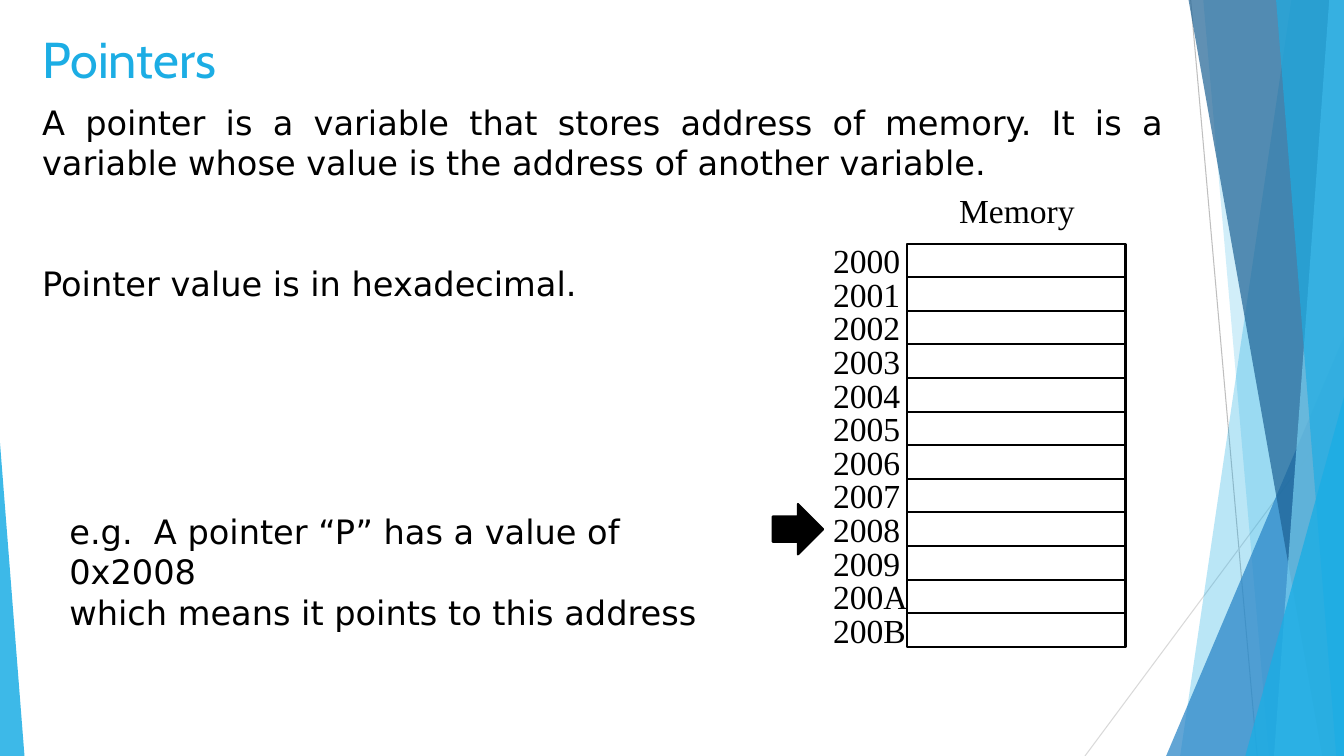
from dataclasses import dataclass

from lxml.etree import SubElement
from pptx import Presentation
from pptx.dml.color import RGBColor
from pptx.enum.shapes import MSO_CONNECTOR, MSO_SHAPE
from pptx.enum.text import MSO_ANCHOR, PP_ALIGN
from pptx.oxml.ns import qn
from pptx.shapes.autoshape import Shape
from pptx.slide import Slide
from pptx.text.text import TextFrame
from pptx.util import Pt

SKY = RGBColor(0x1C, 0xAD, 0xE4)
BLUE = RGBColor(0x26, 0x83, 0xC6)
NAVY = RGBColor(0x1D, 0x62, 0x94)
PALE = RGBColor(0x77, 0xCE, 0xEF)
GREY = RGBColor(0xBF, 0xBF, 0xBF)
LIGHT_GREY = RGBColor(0xD9, 0xD9, 0xD9)
BLACK = RGBColor(0, 0, 0)
WHITE = RGBColor(0xFF, 0xFF, 0xFF)

TITLE_FONT = "Cabin"
BODY_FONT = "DejaVu Sans"
MEMORY_FONT = "Times New Roman"

SLIDE_W, SLIDE_H = 960, 540
ROW_H = 24
ROW_COUNT = 12
FIRST_ADDRESS = 0x2000
CELL_LEFT, CELL_TOP, CELL_W = 648, 174, 156
LABEL_LEFT, LABEL_TOP, LABEL_W, LABEL_H = 588, 168, 77, 32.4


@dataclass(frozen=True)
class Box:
    left: float
    top: float
    width: float
    height: float

    def lengths(self) -> tuple[Pt, Pt, Pt, Pt]:
        return Pt(self.left), Pt(self.top), Pt(self.width), Pt(self.height)


@dataclass(frozen=True)
class Ray:
    x1: float
    y1: float
    x2: float
    y2: float
    color: RGBColor


@dataclass(frozen=True)
class Band:
    top_left: float
    bottom_left: float
    color: RGBColor
    opacity: int


@dataclass(frozen=True)
class Wedge:
    box: Box
    apex: float
    color: RGBColor
    opacity: int


@dataclass(frozen=True)
class Line:
    text: str
    align: PP_ALIGN = PP_ALIGN.LEFT
    space_before: float = 0


RAYS = [
    Ray(850.5, 0, 898, SLIDE_H, GREY),
    Ray(SLIDE_W, 291, 775, SLIDE_H, LIGHT_GREY),
]
FACETS = [
    Band(922.5, 843, SKY, 30),
    Band(859.5, 906.5, SKY, 20),
    Wedge(Box(833, 240.5, 127, 299.5), 1, BLUE, 72),
    Band(849, 944.5, NAVY, 70),
    Band(949.5, 910, PALE, 70),
    Band(911.5, 954.5, SKY, 65),
    Wedge(Box(889.5, 283.5, 70.5, 256.5), 1, SKY, 80),
    Wedge(Box(0, 316.5, 17.5, 223.5), 0, SKY, 85),
]


def add_ray(s: Slide, ray: Ray) -> None:
    line = s.shapes.add_connector(
        MSO_CONNECTOR.STRAIGHT, Pt(ray.x1), Pt(ray.y1), Pt(ray.x2), Pt(ray.y2)
    )
    line.line.color.rgb = ray.color
    line.line.width = Pt(0.75)
    SubElement(line._element.spPr, qn("a:effectLst"))


def add_facet(s: Slide, facet: Band | Wedge) -> None:
    if isinstance(facet, Band):
        builder = s.shapes.build_freeform(Pt(facet.top_left), 0)
        corners = [(SLIDE_W, 0), (SLIDE_W, SLIDE_H), (facet.bottom_left, SLIDE_H)]
        builder.add_line_segments([(Pt(x), Pt(y)) for x, y in corners])
        sp = builder.convert_to_shape()
    else:
        sp = s.shapes.add_shape(MSO_SHAPE.ISOSCELES_TRIANGLE, *facet.box.lengths())
        sp.adjustments[0] = facet.apex
    sp.shadow.inherit = False
    sp.fill.solid()
    sp.fill.fore_color.rgb = facet.color
    sp.line.fill.background()
    color = sp._element.spPr.find(qn("a:solidFill")).find(qn("a:srgbClr"))
    SubElement(color, qn("a:alpha"), val=str(facet.opacity * 1000))


def add_outlined(s: Slide, kind: MSO_SHAPE, box: Box, fill: RGBColor) -> Shape:
    sp = s.shapes.add_shape(kind, *box.lengths())
    sp.shadow.inherit = False
    sp.fill.solid()
    sp.fill.fore_color.rgb = fill
    sp.line.color.rgb = BLACK
    sp.line.width = Pt(1.5)
    return sp


def write(tf: TextFrame, lines: list[Line], font: str, size: float, color: RGBColor) -> None:
    tf.word_wrap = True
    for i, line in enumerate(lines):
        p = tf.add_paragraph() if i else tf.paragraphs[0]
        p.alignment = line.align
        p.space_before = Pt(line.space_before)
        r = p.add_run()
        r.text = line.text
        r.font.name = font
        r.font.size = Pt(size)
        r.font.color.rgb = color


def add_text(s: Slide, box: Box, lines: list[Line], font: str) -> None:
    write(s.shapes.add_textbox(*box.lengths()).text_frame, lines, font, 24, BLACK)


def add_title(s: Slide, text: str) -> None:
    title = s.shapes.title
    title.left, title.top, title.width, title.height = Box(23, 14.4, 612, 54.7).lengths()
    title.text_frame.vertical_anchor = MSO_ANCHOR.MIDDLE
    write(title.text_frame, [Line(text)], TITLE_FONT, 36, SKY)


def add_memory(s: Slide) -> None:
    for row in range(ROW_COUNT):
        cell = Box(CELL_LEFT, CELL_TOP + row * ROW_H, CELL_W, ROW_H)
        add_outlined(s, MSO_SHAPE.RECTANGLE, cell, WHITE)
    for row in range(ROW_COUNT):
        label = Box(LABEL_LEFT, LABEL_TOP + row * ROW_H, LABEL_W, LABEL_H)
        add_text(s, label, [Line(f"{FIRST_ADDRESS + row:X}")], MEMORY_FONT)
    add_text(s, Box(678, 132, 108, LABEL_H), [Line("Memory")], MEMORY_FONT)
    add_outlined(s, MSO_SHAPE.RIGHT_ARROW, Box(552, 360, 36, 36), BLACK)


def main() -> None:
    prs = Presentation()
    prs.slide_width, prs.slide_height = Pt(SLIDE_W), Pt(SLIDE_H)
    s = prs.slides.add_slide(prs.slide_layouts[5])
    for ray in RAYS:
        add_ray(s, ray)
    for facet in FACETS:
        add_facet(s, facet)
    add_title(s, "Pointers")
    definition = [
        Line(
            "A pointer is a variable that stores address of memory. "
            "It is a variable whose value is the address of another variable.",
            PP_ALIGN.JUSTIFY,
        ),
        Line("Pointer value is in hexadecimal.", space_before=57.6),
    ]
    add_text(s, Box(23, 69, 815, 132.5), definition, BODY_FONT)
    add_memory(s)
    example = [
        Line("e.g.  A pointer “P” has a value of 0x2008"),
        Line("which means it points to this address"),
    ]
    add_text(s, Box(42.5, 361.4, 486.7, 57), example, BODY_FONT)
    prs.save("out.pptx")


if __name__ == "__main__":
    main()
